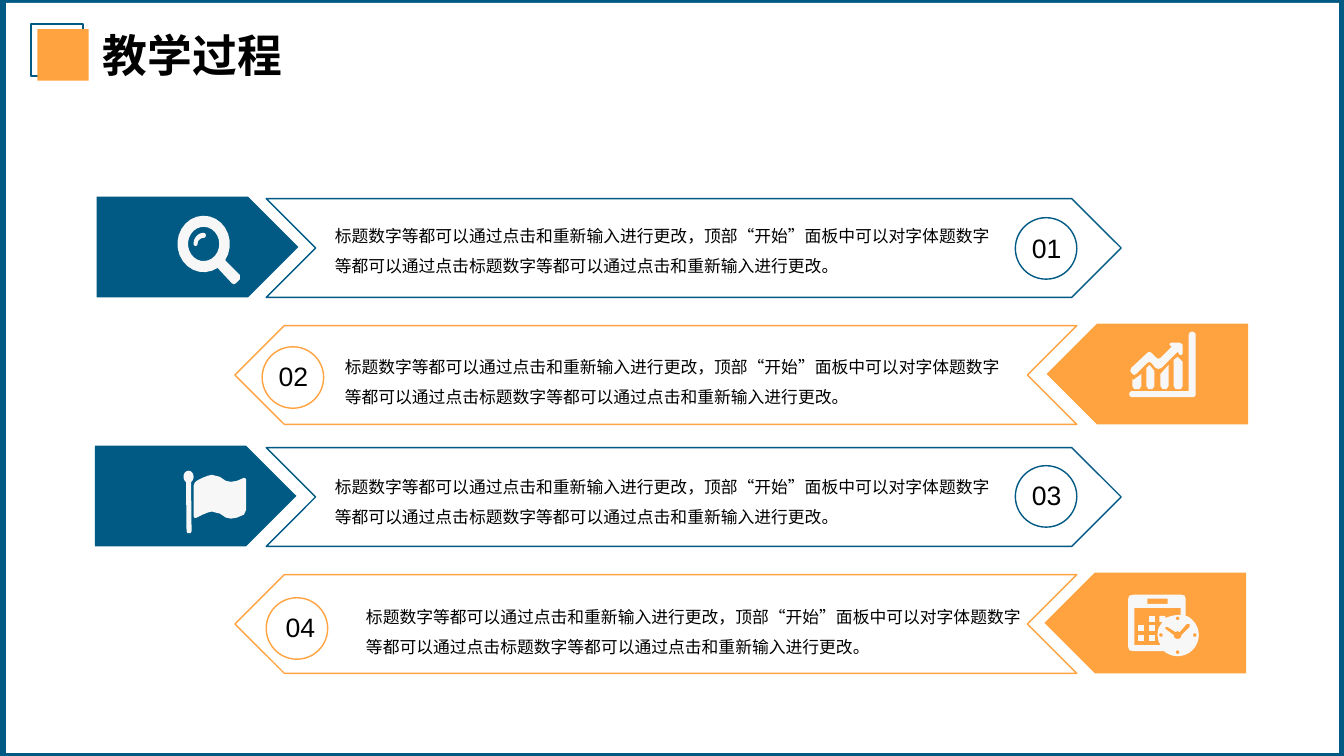
import math

import pptx
import pptx.dml.color
import pptx.enum.shapes
import pptx.enum.text
import pptx.util

COLORS = {"blue": "005A84", "orange": "FFA340", "white": "FFFFFF",
          "icon": "F7F7F7", "black": "000000"}
RGB = {name: pptx.dml.color.RGBColor.from_string(code) for name, code in COLORS.items()}
SHAPE = pptx.enum.shapes.MSO_SHAPE
ALIGN = pptx.enum.text.PP_ALIGN
BODY = ("标题数字等都可以通过点击和重新输入进行更改，顶部“开始”面板中可以对字体题数字"
        "等都可以通过点击标题数字等都可以通过点击和重新输入进行更改。")

prs = pptx.Presentation()
prs.slide_width = pptx.util.Inches(13.33)
prs.slide_height = pptx.util.Inches(7.5)
COLUMNS, ROWS = 1333, 750
cell = prs.slide_height // ROWS
slide = prs.slides.add_slide(prs.slide_layouts[5])


def place(kind, left, top, width, height, fill=None, line=None, weight=1):
    shape = slide.shapes.add_shape(kind, left * cell, top * cell, width * cell, height * cell)
    shape.shadow.inherit = False
    if fill:
        shape.fill.solid()
        shape.fill.fore_color.rgb = RGB[fill]
    else:
        shape.fill.background()
    if line:
        shape.line.color.rgb = RGB[line]
        shape.line.width = pptx.util.Pt(weight)
    else:
        shape.line.fill.background()
    return shape


def arc(x, y, rx, ry, start=0, end=345, steps=24):
    angles = [math.radians(start + (end - start) * i / steps) for i in range(steps + 1)]
    return [(x + rx * math.cos(a), y + ry * math.sin(a)) for a in angles]


place(SHAPE.RECTANGLE, 0, 0, COLUMNS, ROWS, "blue")
place(SHAPE.RECTANGLE, 6, 3, COLUMNS - 11, ROWS - 6, "white")
place(SHAPE.RECTANGLE, 31, 24, 51, 51, line="blue", weight=1.5)
place(SHAPE.RECTANGLE, 37, 29, 51, 51, "orange")

title = slide.shapes.title
slide.shapes.element.append(title.element)
title.left, title.top, title.width, title.height = (v * cell for v in (92, 22, 200, 64))
title.text_frame.text = "教学过程"
title.text_frame.word_wrap = False
title.text_frame.vertical_anchor = pptx.enum.text.MSO_ANCHOR.MIDDLE
heading = title.text_frame.paragraphs[0]
heading.alignment = ALIGN.LEFT
heading.font.name = "Arial"
heading.font.size = pptx.util.Pt(32)
heading.font.bold = True
heading.font.color.rgb = RGB["black"]

steps = [
    {"badge": (1007, 216), "number": (1009, 225, 58), "body": (319, 207)},
    {"badge": (260, 344), "number": (262, 352, 58), "body": (329, 337)},
    {"badge": (1007, 462), "number": (1009, 470, 58), "body": (319, 456)},
    {"badge": (264, 593), "number": (264, 601, 68), "body": (350, 585)},
]
for index, step in enumerate(steps):
    pair, mirrored = divmod(index, 2)
    top = 195 + 247 * pair + 126 * mirrored
    color = "orange" if mirrored else "blue"
    tag = place(SHAPE.PENTAGON, (1038 if mirrored else 96) - 2 * pair, top, 200, 100, color)
    panel = place(SHAPE.CHEVRON, 233 if mirrored else 264, top + 2,
                  835 if mirrored else 848, 98, line=color)
    tag.rotation = panel.rotation = 180 * mirrored
    place(SHAPE.OVAL, *step["badge"], 61, 61, line=color)

    left, number_top, width = step["number"]
    for text, box, size, spacing, align, inset in [
        (f"{index + 1:02}", (left, number_top, width, 42), 19, 1, ALIGN.CENTER, (10, 5)),
        (BODY, (*step["body"], 691, 71), 12, 1.5, ALIGN.LEFT, (13, 7)),
    ]:
        frame = slide.shapes.add_textbox(*(v * cell for v in box)).text_frame
        frame.word_wrap = True
        frame.auto_size = pptx.enum.text.MSO_AUTO_SIZE.SHAPE_TO_FIT_TEXT
        frame.margin_left = frame.margin_right = inset[0] * cell
        frame.margin_top = frame.margin_bottom = inset[1] * cell
        frame.text = text
        paragraph = frame.paragraphs[0]
        paragraph.alignment = align
        paragraph.line_spacing = spacing
        paragraph.font.name = "Arial"
        paragraph.font.size = pptx.util.Pt(size)
        paragraph.font.color.rgb = RGB["black"]

magnifier = [
    arc(202, 242, 26, 28, 58, 395) + [(238, 273), (238, 277), (234, 281), (232, 282), (230, 281)],
    arc(202, 242, 15.5, 17),
    arc(202, 242, 10, 11, 180, 270) + arc(202, 233.5, 2.2, 2.5, 270, 450, 8)
    + arc(202, 242, 6, 6, 270, 180) + arc(194, 242, 2, 2, 0, 180, 8),
]

crest = [(195, 477), (201, 474), (206, 472), (210, 471), (214, 472), (218, 473),
         (221, 475), (224, 477), (229, 478), (235, 477), (242, 474)]
hem = [(x, y + 36.5) for x, y in reversed(crest)]
flag = [
    arc(187, 473, 5, 6, 120, 420) + [(190, 527), (189, 529), (186, 529), (185, 527)],
    [(192, 482), (193, 479)] + crest + [(244, 475), (244, 506)] + hem + [(193, 514), (192, 512)],
]

bar_tops = [
    [(1123, 376), (1124, 377), (1132, 371)],
    [(1137, 365), (1140, 362), (1145, 368)],
    [(1151, 371), (1159, 362)],
    [(1164, 357), (1168, 354), (1173, 359)],
]
bars = [[tops + [(tops[-1][0], 383), (tops[-1][0] - 2, 386),
                 (tops[0][0] + 2, 386), (tops[0][0], 383)]] for tops in bar_tops]
trend = [[(1138, 360), (1140, 359), (1142, 360), (1146, 365), (1149, 366), (1152, 365),
          (1168, 349), (1170, 352), (1172, 352), (1173, 351), (1173, 342), (1172, 341),
          (1170, 340), (1161, 340), (1160, 341), (1160, 342), (1162, 344), (1151, 355),
          (1149, 356), (1147, 355), (1142, 350), (1140, 349), (1138, 350), (1122, 365),
          (1121, 368), (1123, 371), (1125, 372), (1127, 371)]]
axes = [arc(1182.5, 332.5, 3.5, 3.5, 180, 360, 8) + arc(1183, 391, 3, 3, 0, 90, 6)
        + arc(1123, 391, 3, 3, 90, 270, 8) + [(1179, 388)]]

days = [[[(x, y), (x + 6, y), (x + 6, y + 6), (x, y + 6)]]
        for x, y in [(1129, 620), (1129, 630), (1140, 611), (1140, 620), (1140, 630)]]
calendar = [
    [(1176, 612), (1176, 594), (1175, 591), (1172, 590), (1124, 590), (1120, 591), (1119, 594),
     (1119, 642), (1120, 645), (1124, 646), (1155, 646)] + arc(1168, 630, 21, 21, 129, -66),
    [(1138, 594), (1158, 594), (1158, 599), (1138, 599)],
    [(1125, 603), (1171, 603), (1171, 610), (1168, 610), (1162, 611), (1156, 613), (1156, 611),
     (1150, 611), (1150, 617), (1153, 617), (1149, 623), (1148, 630), (1149, 636), (1151, 640),
     (1125, 640)],
    [(1180, 622), (1172, 630), (1171, 633), (1168, 634), (1165, 633), (1164, 630), (1156, 624),
     (1156, 622), (1158, 622), (1166, 627), (1168, 626), (1170, 627), (1177, 619), (1180, 619)],
] + [arc(x, y, 1.8, 1.8) for x, y in [(1168, 613.5), (1151.5, 630), (1168, 647), (1185, 630)]]

for contours in [magnifier, flag, *bars, trend, axes, *days, calendar]:
    scaled = [[(x * cell, y * cell) for x, y in contour] for contour in contours]
    builder = slide.shapes.build_freeform(*scaled[0][0])
    for order, contour in enumerate(scaled):
        if order:
            builder.move_to(*contour[0])
        builder.add_line_segments(contour[1:], close=True)
    icon = builder.convert_to_shape()
    icon.shadow.inherit = False
    icon.fill.solid()
    icon.fill.fore_color.rgb = RGB["icon"]
    icon.line.fill.background()

prs.save("out.pptx")
